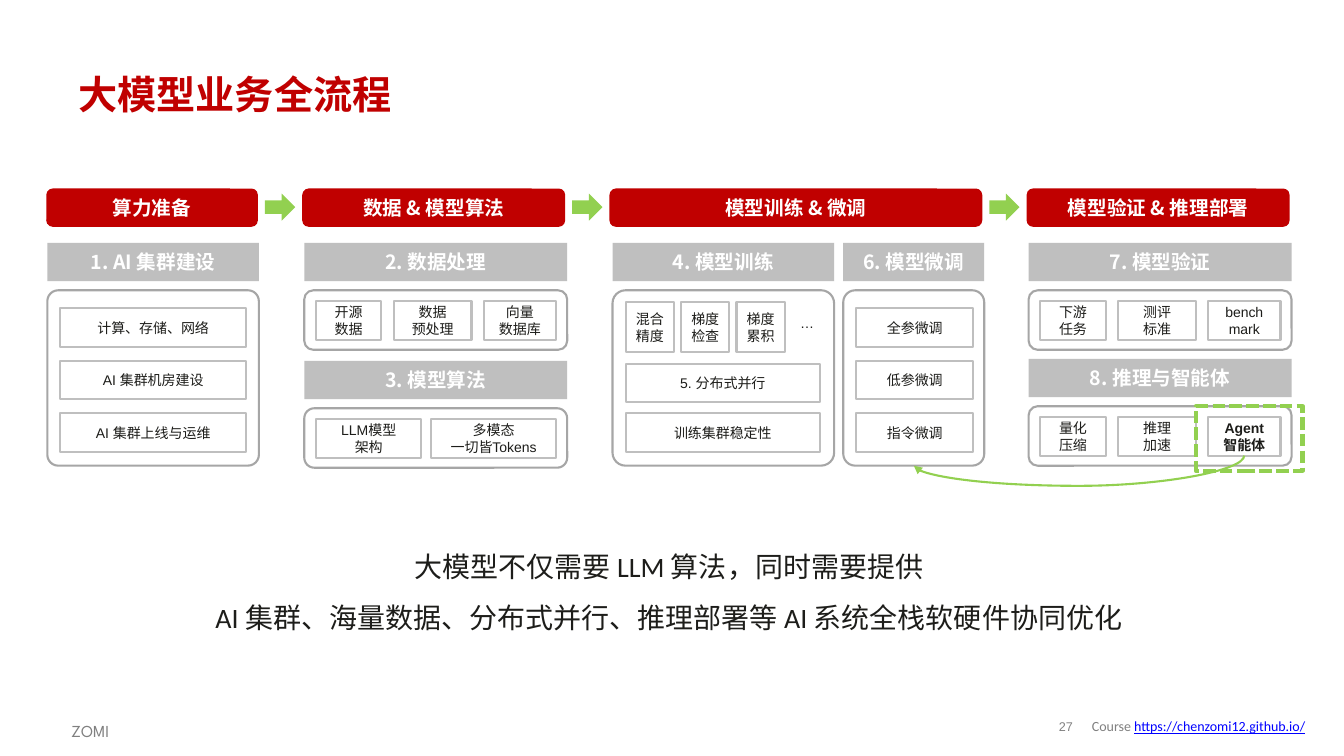
from dataclasses import dataclass

import pptx
import pptx.dml.color
import pptx.enum.dml
import pptx.enum.shapes
import pptx.enum.text
import pptx.oxml
import pptx.oxml.ns
import pptx.util

# Grid: one column or row is a tenth of an inch
CELL = pptx.util.Inches(0.1)
COLS, ROWS = 133.4, 75
RED, GREEN, INK, WHITE = "C00000", "92D050", "1D1D1A", "FFFFFF"
GREY, EDGE, FOOT, LINK = "BFBFBF", "A6A6A6", "808080", "0000FF"
CJK = "Noto Sans CJK SC"
BAR_H, ROW_H, FULL_H, HALF_H = 3.8, 3.8, 17.4, 5.9
STAGE_Y, TOPIC_Y, PANEL_DY = 18.7, 24.1, 4.7

SHAPE = pptx.enum.shapes.MSO_SHAPE
ALIGN = pptx.enum.text.PP_ALIGN
MIDDLE = pptx.enum.text.MSO_ANCHOR.MIDDLE
TOP = pptx.enum.text.MSO_ANCHOR.TOP


@dataclass
class Look:
    size: float
    font: str
    color: str
    bold: bool = False
    underline: bool = False


@dataclass
class Step:
    text: str
    dx: float
    dy: float
    w: float
    h: float = ROW_H
    bold: bool = False


@dataclass
class Stage:
    name: str
    x: float
    w: float


@dataclass
class Topic:
    name: str
    x: float
    y: float
    w: float
    h: float
    corner: float
    steps: list[Step]


BAR = Look(14, CJK, WHITE, True)
STEP = Look(10, "Arial", INK)
STEP_BOLD = Look(10, "Arial", INK, True)
FOOTER = Look(10, "Calibri", FOOT)


def stack(names: list[str], w: float) -> list[Step]:
    return [Step(name, 1.3, 1.8 + 5.2 * i, w) for i, name in enumerate(names)]


def trio(names: list[str], last_bold: bool = False) -> list[Step]:
    cells = [(1.15, 6.5), (8.9, 7.7), (17.8, 7.2)]
    return [Step(name, dx, 1.1, w, bold=last_bold and dx > 17)
            for name, (dx, w) in zip(names, cells)]


STAGES = [
    Stage("算力准备", 4.6, 21),
    Stage("数据 & 模型算法", 30, 26.1),
    Stage("模型训练 & 微调", 60.5, 37),
    Stage("模型验证 & 推理部署", 101.9, 26.1),
]
TRAINING = [Step(name, 1.3 + 5.5 * i, 1.2, 4.8, 4.9)
            for i, name in enumerate(["混合精度", "梯度检查", "梯度累积"])]
TRAINING += [Step("5. 分布式并行", 1.3, 7.3, 19.3), Step("训练集群稳定性", 1.3, 12.2, 19.3)]
TOPICS = [
    Topic("1. AI 集群建设", 4.7, TOPIC_Y, 21, FULL_H, 0.062,
          stack(["计算、存储、网络", "AI 集群机房建设", "AI 集群上线与运维"], 18.4)),
    Topic("2. 数据处理", 30.2, TOPIC_Y, 26.1, HALF_H, 0.151,
          trio(["开源\n数据", "数据\n预处理", "向量\n数据库"])),
    Topic("3. 模型算法", 30.2, 35.8, 26.1, HALF_H, 0.169,
          [Step("LLM模型\n架构", 1.2, 1.1, 10.4), Step("多模态\n一切皆Tokens", 12.6, 1.1, 12.4)]),
    Topic("4. 模型训练", 60.8, TOPIC_Y, 22, FULL_H, 0.074, TRAINING),
    Topic("6. 模型微调", 83.7, TOPIC_Y, 14, FULL_H, 0.085,
          stack(["全参微调", "低参微调", "指令微调"], 11.6)),
    Topic("7. 模型验证", 102.1, TOPIC_Y, 26.1, HALF_H, 0.151,
          trio(["下游\n任务", "测评\n标准", "bench\nmark"])),
    Topic("8. 推理与智能体", 102.1, 35.6, 26.1, HALF_H, 0.151,
          trio(["量化\n压缩", "推理\n加速", "Agent\n智能体"], last_bold=True)),
]


def grid(n: float) -> int:
    return round(n * CELL)


def rgb(color: str) -> pptx.dml.color.RGBColor:
    return pptx.dml.color.RGBColor.from_string(color)


def add_run(p, text: str, look: Look) -> None:
    r = p.add_run()
    r.text = text
    r.font.size = pptx.util.Pt(look.size)
    r.font.name = look.font
    r.font.bold = look.bold
    r.font.underline = look.underline
    r.font.color.rgb = rgb(look.color)
    ea = pptx.oxml.parse_xml(f'<a:ea {pptx.oxml.ns.nsdecls("a")} typeface="{CJK}"/>')
    r.font._element.find(pptx.oxml.ns.qn("a:latin")).addnext(ea)


def write(tf, text: str, look: Look, align=ALIGN.CENTER, spacing=None) -> None:
    for i, line in enumerate(text.split("\n")):
        p = tf.paragraphs[0] if i == 0 else tf.add_paragraph()
        p.alignment = align
        if spacing:
            p.line_spacing = spacing
        add_run(p, line, look)


def add_box(s, kind, x: float, y: float, w: float, h: float, fill=None, line=None,
            weight: float = 1.5, corner=None):
    sp = s.shapes.add_shape(kind, grid(x), grid(y), grid(w), grid(h))
    sp.shadow.inherit = False
    if corner is not None:
        sp.adjustments[0] = corner
    if fill:
        sp.fill.solid()
        sp.fill.fore_color.rgb = rgb(fill)
    else:
        sp.fill.background()
    if line:
        sp.line.color.rgb = rgb(line)
        sp.line.width = pptx.util.Pt(weight)
    else:
        sp.line.fill.background()
    tf = sp.text_frame
    tf.word_wrap = True
    tf.vertical_anchor = MIDDLE
    tf.margin_left = tf.margin_right = grid(0.5)
    return sp


def add_text(s, x: float, y: float, w: float, h: float, anchor=MIDDLE, wrap: bool = True):
    tf = s.shapes.add_textbox(grid(x), grid(y), grid(w), grid(h)).text_frame
    tf.word_wrap = wrap
    tf.vertical_anchor = anchor
    return tf


def draw_topic(s, t: Topic) -> None:
    bar = add_box(s, SHAPE.RECTANGLE, t.x, t.y, t.w, BAR_H, fill=GREY)
    write(bar.text_frame, t.name, BAR)
    top = t.y + PANEL_DY
    add_box(s, SHAPE.ROUNDED_RECTANGLE, t.x, top, t.w, t.h, line=EDGE, corner=t.corner)
    for step in t.steps:
        sp = add_box(s, SHAPE.ROUNDED_RECTANGLE, t.x + step.dx, top + step.dy, step.w, step.h,
                     line=GREY, corner=0)
        write(sp.text_frame, step.text, STEP_BOLD if step.bold else STEP)


def draw_feedback(s) -> None:
    """Curve from the agent step back to the fine-tuning panel."""
    c = s.shapes.add_connector(pptx.enum.shapes.MSO_CONNECTOR.CURVE,
                               grid(106.6), grid(29.3), grid(107.6), grid(62.1))
    c.line.color.rgb = rgb(GREEN)
    c.line.width = pptx.util.Pt(1.5)
    ns = pptx.oxml.ns.nsdecls("a")
    pr = c._element.spPr
    pr.find(pptx.oxml.ns.qn("a:xfrm")).set("rot", "5400000")
    guides = pr.find(pptx.oxml.ns.qn("a:prstGeom")).get_or_add_avLst()
    guides.append(pptx.oxml.parse_xml(f'<a:gd {ns} name="adj1" fmla="val 300200"/>'))
    c.line._get_or_add_ln().append(pptx.oxml.parse_xml(f'<a:tailEnd {ns} type="triangle"/>'))
    pr.append(pptx.oxml.parse_xml(f"<a:effectLst {ns}/>"))


def main() -> None:
    prs = pptx.Presentation()
    prs.slide_width, prs.slide_height = grid(COLS), grid(ROWS)
    s = prs.slides.add_slide(prs.slide_layouts[6])

    # Footer
    tf = add_text(s, 104, 70.6, 3.6, 3.1)
    tf.margin_left = tf.margin_right = tf.margin_top = tf.margin_bottom = 0
    write(tf, "27", Look(9, "Arial", FOOT), spacing=0.85)
    write(add_text(s, 6.1, 70.6, 8, 3.2, TOP), "ZOMI",
          Look(12, "League Spartan", FOOT), ALIGN.LEFT, 1.2)
    tf = add_text(s, 107.4, 70.6, 24.6, 2.9)
    write(tf, "Course ", FOOTER, ALIGN.LEFT)
    add_run(tf.paragraphs[0], "https://chenzomi12.github.io/",
            Look(10, "Calibri", LINK, underline=True))

    # Title
    write(add_text(s, 6.8, 6.1, 119.9, 6.4), "大模型业务全流程",
          Look(28, "League Spartan", RED, True), ALIGN.LEFT)

    # Stages with arrows between them
    for i, stage in enumerate(STAGES):
        sp = add_box(s, SHAPE.ROUNDED_RECTANGLE, stage.x, STAGE_Y, stage.w, BAR_H, fill=RED)
        write(sp.text_frame, stage.name, BAR)
        if i < len(STAGES) - 1:
            add_box(s, SHAPE.RIGHT_ARROW, stage.x + stage.w + 0.7, 19.2, 3, 2.7, fill=GREEN)

    # Topics and their steps
    for topic in TOPICS:
        draw_topic(s, topic)
    write(add_text(s, 78.4, 30.7, 3.4, 2.7, TOP, wrap=False), "…", STEP)

    # Summary
    write(add_text(s, 4.6, 52.4, 123.6, 10.5, TOP),
          "大模型不仅需要 LLM 算法，同时需要提供\n"
          "AI 集群、海量数据、分布式并行、推理部署等 AI 系统全栈软硬件协同优化",
          Look(20, "Calibri", INK), spacing=1.5)

    # Agent highlight and feedback
    draw_feedback(s)
    frame = add_box(s, SHAPE.RECTANGLE, 118.7, 40.3, 10.6, 6.4, line=GREEN, weight=3)
    frame.line.dash_style = pptx.enum.dml.MSO_LINE.SQUARE_DOT

    prs.save("out.pptx")


if __name__ == "__main__":
    main()
